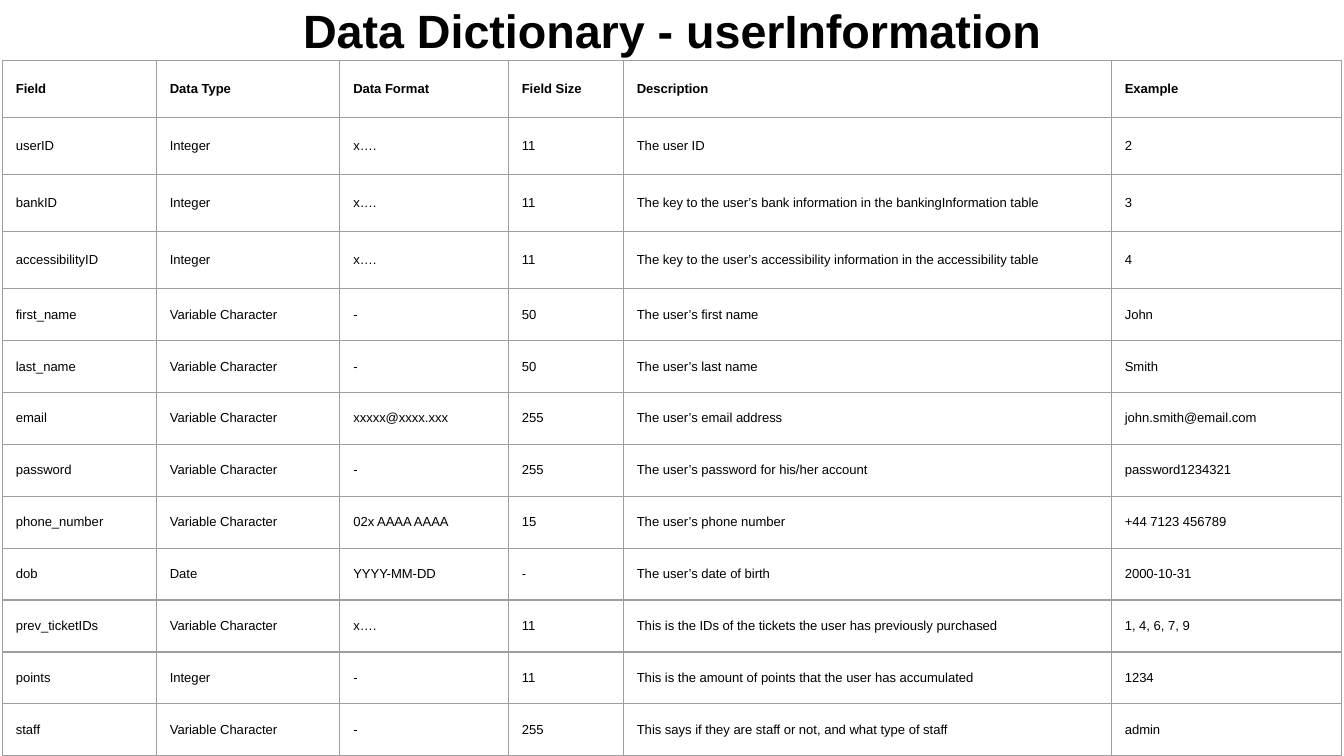
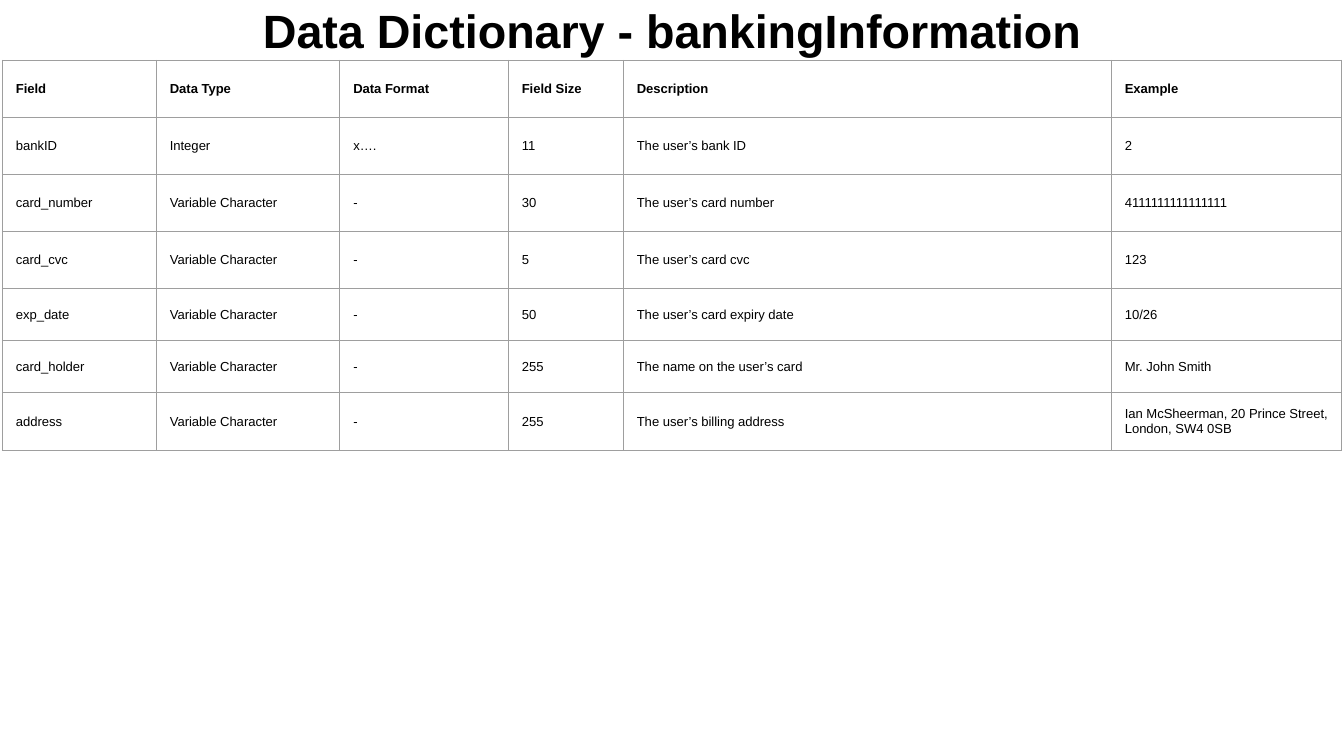
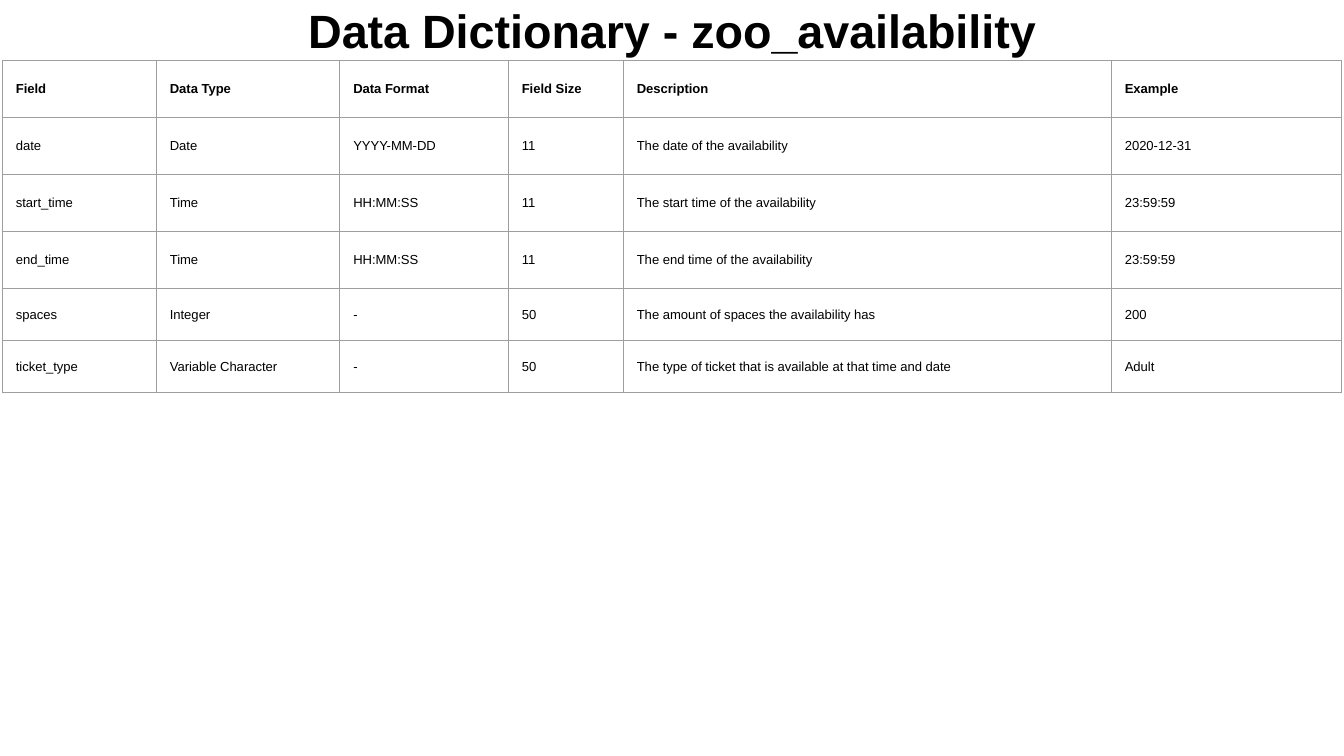
from dataclasses import dataclass

from lxml import etree
from pptx import Presentation
from pptx.dml.color import RGBColor
from pptx.enum.text import MSO_ANCHOR, PP_ALIGN
from pptx.oxml.ns import qn
from pptx.util import Inches, Pt

MIDDLE = MSO_ANCHOR.MIDDLE
CENTER = PP_ALIGN.CENTER
WIDE = Inches(10)
HIGH = WIDE * 9 // 16


@dataclass(frozen=True)
class Theme:
    """Colours, type sizes and line widths of the deck."""
    font: str = "Arial"
    ink: str = "000000"
    paper: str = "FFFFFF"
    rule: str = "9E9E9E"
    line: float = 0.75
    head: float = 25
    body: float = 7
    inset: float = 0.1


THEME = Theme()
COLS = (11.46, 13.65, 12.54, 8.56, 36.31, 17.11)
TALL, SHORT = 7.55, 6.87
TALL_ROWS = 4
BAND = 8
EDGE = 0.18
FIELDS = ("Field", "Data Type", "Data Format", "Field Size", "Description", "Example")
TEXT = "Variable Character"
DAY = "YYYY-MM-DD"
CLOCK = "HH:MM:SS"

USER = (
    ("userID", "Integer", "x….", "11", "The user ID", "2"),
    ("bankID", "Integer", "x….", "11",
     "The key to the user’s bank information in the bankingInformation table", "3"),
    ("accessibilityID", "Integer", "x….", "11",
     "The key to the user’s accessibility information in the accessibility table", "4"),
    ("first_name", TEXT, "-", "50", "The user’s first name", "John"),
    ("last_name", TEXT, "-", "50", "The user’s last name", "Smith"),
    ("email", TEXT, "xxxxx@xxxx.xxx", "255", "The user’s email address",
     "john.smith@email.com"),
    ("password", TEXT, "-", "255", "The user’s password for his/her account",
     "password1234321"),
    ("phone_number", TEXT, "02x AAAA AAAA", "15", "The user’s phone number",
     "+44 7123 456789"),
    ("dob", "Date", DAY, "-", "The user’s date of birth", "2000-10-31"),
    ("prev_ticketIDs", TEXT, "x….", "11",
     "This is the IDs of the tickets the user has previously purchased", "1, 4, 6, 7, 9"),
    ("points", "Integer", "-", "11",
     "This is the amount of points that the user has accumulated", "1234"),
    ("staff", TEXT, "-", "255",
     "This says if they are staff or not, and what type of staff", "admin"),
)
BANK = (
    ("bankID", "Integer", "x….", "11", "The user’s bank ID", "2"),
    ("card_number", TEXT, "-", "30", "The user’s card number", "4111111111111111"),
    ("card_cvc", TEXT, "-", "5", "The user’s card cvc", "123"),
    ("exp_date", TEXT, "-", "50", "The user’s card expiry date", "10/26"),
    ("card_holder", TEXT, "-", "255", "The name on the user’s card", "Mr. John Smith"),
    ("address", TEXT, "-", "255", "The user’s billing address",
     "Ian McSheerman, 20 Prince Street, London, SW4 0SB"),
)
ZOO = (
    ("date", "Date", DAY, "11", "The date of the availability", "2020-12-31"),
    ("start_time", "Time", CLOCK, "11", "The start time of the availability", "23:59:59"),
    ("end_time", "Time", CLOCK, "11", "The end time of the availability", "23:59:59"),
    ("spaces", "Integer", "-", "50", "The amount of spaces the availability has", "200"),
    ("ticket_type", TEXT, "-", "50",
     "The type of ticket that is available at that time and date", "Adult"),
)
PAGES = (
    ("userInformation", 60.3, USER),
    ("bankingInformation", 63.7, BANK),
    ("zoo_availability", 60.3, ZOO),
)


def share(size, part):
    """Return a percentage of a length."""
    return round(size * part / 100)


def pad(item):
    """Set equal insets and middle anchoring on a cell or text frame."""
    item.margin_left = item.margin_right = Inches(THEME.inset)
    item.margin_top = item.margin_bottom = Inches(THEME.inset)
    item.vertical_anchor = MIDDLE


def write(para, text, size, bold):
    """Add one styled run to a paragraph."""
    run = para.add_run()
    run.text = text
    font = run.font
    font.name, font.size, font.bold = THEME.font, Pt(size), bold
    font.color.rgb = RGBColor.from_string(THEME.ink)


def frame(cell):
    """Draw the four borders of a cell."""
    props = cell._tc.get_or_add_tcPr()
    for side in ("lnL", "lnR", "lnT", "lnB"):
        line = etree.SubElement(props, qn(f"a:{side}"), w=str(Pt(THEME.line)))
        fill = etree.SubElement(line, qn("a:solidFill"))
        etree.SubElement(fill, qn("a:srgbClr"), val=THEME.rule)


def title(slide, name, span, box):
    """Place the heading in the middle of its band."""
    left, top, width, height = box
    wide = share(width, span)
    area = slide.shapes.add_textbox(left + (width - wide) // 2, top, wide, height)
    text = area.text_frame
    text.word_wrap = True
    pad(text)
    para = text.paragraphs[0]
    para.alignment = CENTER
    write(para, f"Data Dictionary - {name}", THEME.head, True)


def grid(slide, rows, left, top):
    """Build the field table from its top left corner."""
    lines = (FIELDS, *rows)
    highs = [share(HIGH, TALL if i < TALL_ROWS else SHORT) for i in range(len(lines))]
    wides = [share(WIDE, col) for col in COLS]
    table = slide.shapes.add_table(
        len(lines), len(COLS), left, top, sum(wides), sum(highs)).table
    table.first_row = table.horz_banding = False
    for col, wide in zip(table.columns, wides):
        col.width = wide
    for i, (row, high, line) in enumerate(zip(table.rows, highs, lines)):
        row.height = high
        for cell, text in zip(row.cells, line):
            pad(cell)
            frame(cell)
            cell.fill.background()
            write(cell.text_frame.paragraphs[0], text, THEME.body, i == 0)


def page(deck, name, span, rows):
    """Add one data dictionary slide."""
    slide = deck.slides.add_slide(deck.slide_layouts[6])
    back = slide.background.fill
    back.solid()
    back.fore_color.rgb = RGBColor.from_string(THEME.paper)
    band = share(HIGH, BAND)
    title(slide, name, span, (0, 0, WIDE, band))
    grid(slide, rows, share(WIDE, EDGE), band)


def main():
    """Build and save the deck."""
    deck = Presentation()
    deck.slide_width, deck.slide_height = WIDE, HIGH
    for item in PAGES:
        page(deck, *item)
    deck.save("out.pptx")


if __name__ == "__main__":
    main()
